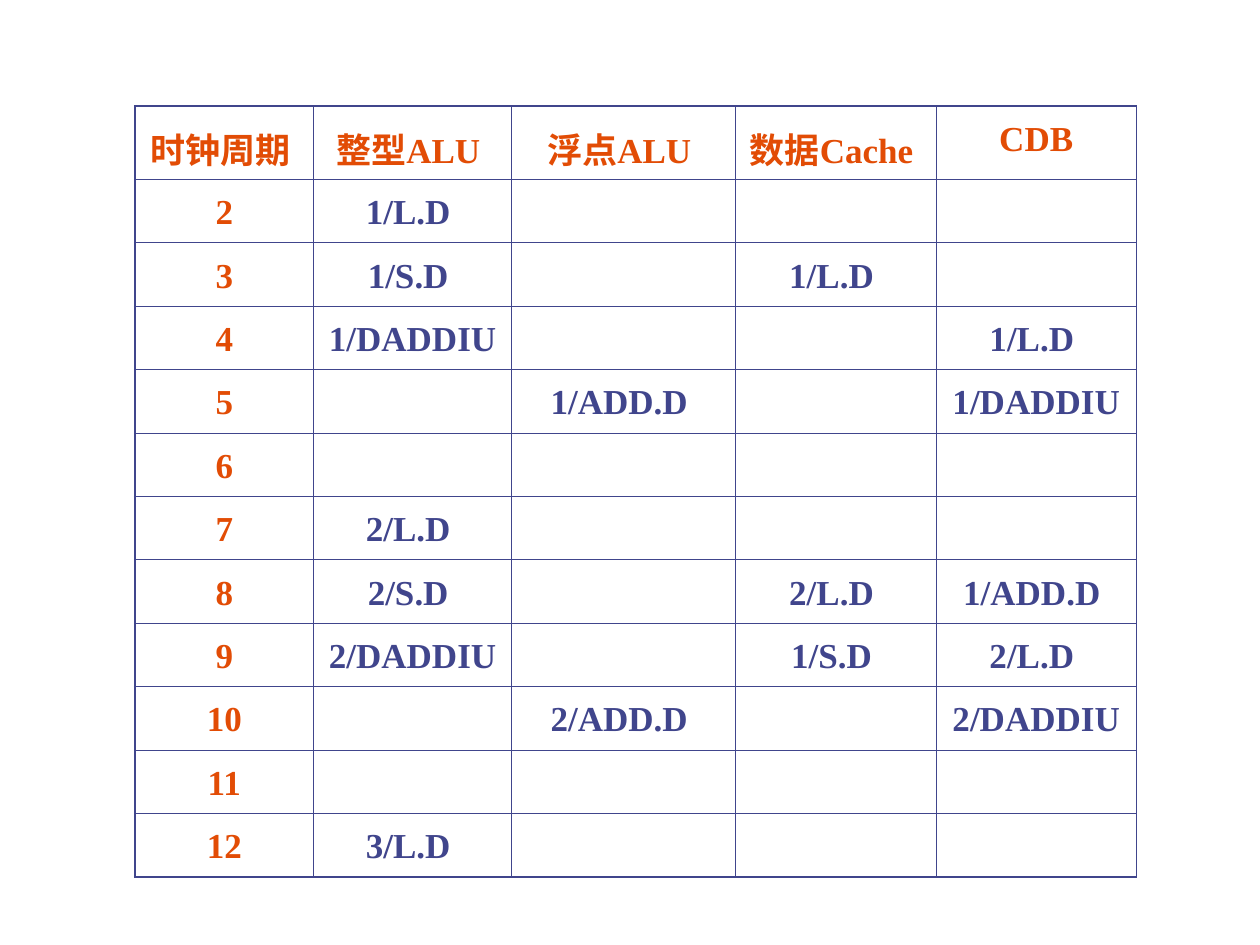
"""Build a slide with the cycle-by-cycle resource usage table of a dual-issue pipeline."""
import pptx
import pptx.dml.color
import pptx.enum.text
import pptx.oxml
import pptx.oxml.ns
import pptx.util
from pptx.util import Inches

HEADINGS = ["时钟周期 ", "整型ALU ", "浮点ALU ", "数据Cache ", "CDB"]
USAGE = {
    2: ["1/L.D ", "", "", ""],
    3: ["1/S.D ", "", "1/L.D ", ""],
    4: ["1/DADDIU ", "", "", "1/L.D "],
    5: ["", "1/ADD.D ", "", "1/DADDIU "],
    6: ["", "", "", ""],
    7: ["2/L.D ", "", "", ""],
    8: ["2/S.D ", "", "2/L.D ", "1/ADD.D "],
    9: ["2/DADDIU ", "", "1/S.D ", "2/L.D "],
    10: ["", "2/ADD.D ", "", "2/DADDIU "],
    11: ["", "", "", ""],
    12: ["3/L.D ", "", "", ""],
}
COLUMN_WIDTHS = [1.42, 1.57, 1.78, 1.59, 1.59]
TABLE_HEIGHT = 6.04


def colour(hex_value):
    return pptx.dml.color.RGBColor.from_string(hex_value)


class ScheduleSlide:
    font, size = "Times New Roman", 20
    heading_ink, entry_ink, rule_ink = "E24C05", "40458C", "40458C"
    outer_rule, inner_rule = 1.08, 0.45

    def __init__(self, presentation):
        self.slide = presentation.slides.add_slide(presentation.slide_layouts[6])

    def table(self, rows, left, top, widths, height):
        frame = self.slide.shapes.add_table(
            len(rows), len(widths), Inches(left), Inches(top), Inches(sum(widths)), Inches(height))
        grid = frame.table
        grid.first_row = grid.horz_banding = False
        for column, width in zip(grid.columns, widths):
            column.width = Inches(width)
        for row in grid.rows:
            row.height = Inches(height / len(rows))
        for r, entries in enumerate(rows):
            for c, entry in enumerate(entries):
                cell = grid.cell(r, c)
                outer = {"L": c == 0, "R": c == len(widths) - 1, "T": r == 0, "B": r == len(rows) - 1}
                self.borders(cell, outer)
                cell.fill.background()
                if entry:
                    self.entry(cell, entry, self.heading_ink if r == 0 or c == 0 else self.entry_ink)

    def borders(self, cell, outer):
        properties = cell._tc.get_or_add_tcPr()
        for side, is_outer in outer.items():
            width = pptx.util.Pt(self.outer_rule if is_outer else self.inner_rule)
            properties.append(pptx.oxml.parse_xml(
                f'<a:ln{side} {pptx.oxml.ns.nsdecls("a")} w="{width}"><a:solidFill>'
                f'<a:srgbClr val="{self.rule_ink}"/></a:solidFill></a:ln{side}>'))

    def entry(self, cell, text, ink):
        cell.margin_left = cell.margin_right = Inches(0.1)
        cell.margin_top = cell.margin_bottom = Inches(0.05)
        paragraph = cell.text_frame.paragraphs[0]
        paragraph.text = text
        paragraph.alignment = pptx.enum.text.PP_ALIGN.CENTER
        paragraph.line_spacing = 1.2
        font = paragraph.runs[0].font
        font.name, font.size, font.bold = self.font, pptx.util.Pt(self.size), True
        font.color.rgb = colour(ink)


def main():
    presentation = pptx.Presentation()
    presentation.slide_width, presentation.slide_height = Inches(10), Inches(7.5)
    rows = [HEADINGS] + [[str(cycle)] + units for cycle, units in USAGE.items()]
    ScheduleSlide(presentation).table(rows, 1.07, 0.84, COLUMN_WIDTHS, TABLE_HEIGHT)
    presentation.save("out.pptx")


if __name__ == "__main__":
    main()
